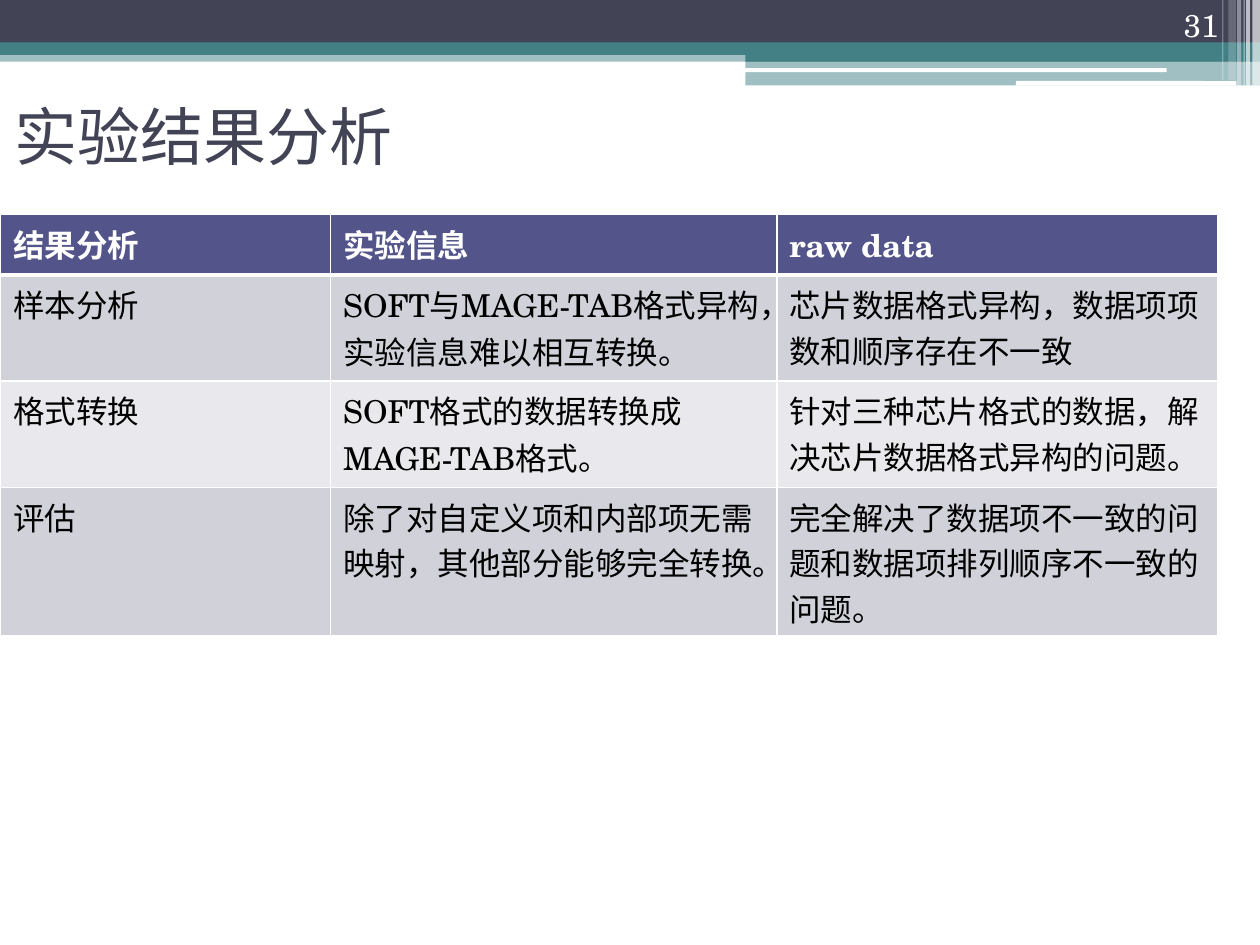
from lxml import etree
from pptx import Presentation
from pptx.dml.color import RGBColor
from pptx.enum.shapes import MSO_SHAPE
from pptx.enum.text import MSO_ANCHOR, PP_ALIGN
from pptx.oxml.ns import qn
from pptx.util import Pt

RECT, ROUNDED = MSO_SHAPE.RECTANGLE, MSO_SHAPE.ROUNDED_RECTANGLE
MIDDLE, BOTTOM = MSO_ANCHOR.MIDDLE, MSO_ANCHOR.BOTTOM
LEFT, RIGHT = PP_ALIGN.LEFT, PP_ALIGN.RIGHT

SLATE = RGBColor(0x42, 0x44, 0x56)
TEAL = RGBColor(0x43, 0x80, 0x86)
INDIGO = RGBColor(0x53, 0x54, 0x8A)
BAND_DARK = RGBColor(0xD1, 0xD1, 0xDA)
BAND_LIGHT = RGBColor(0xE9, 0xE9, 0xED)
WHITE = RGBColor(0xFF, 0xFF, 0xFF)
BLACK = RGBColor(0, 0, 0)

TITLE_FONT, BODY_FONT = "Karla", "TeX Gyre Schola"


class SlideBuilder:
    """Holds the style and the current slide."""

    def __init__(self, page, body_size=18):
        """Keep the page and the body text size."""
        self.page = page
        self.body_size = body_size

    def bar(self, left, top, width, height, color, opacity=100, kind=RECT):
        """Add a borderless bar, see-through when opacity is below 100."""
        box = self.page.shapes.add_shape(
            kind, Pt(left), Pt(top), Pt(width), Pt(height))
        box.shadow.inherit = False
        box.line.fill.background()
        box.fill.solid()
        box.fill.fore_color.rgb = color
        if opacity < 100:
            tint = box.fill._xPr.find(f".//{qn('a:srgbClr')}")
            etree.SubElement(tint, qn("a:alpha"), val=str(opacity * 1000))

    def format_spans(self, frame, font, size, color, bold=False):
        """Style every run of a text frame."""
        for para in frame.paragraphs:
            for span in para.runs:
                span.font.name = font
                span.font.size = Pt(size)
                span.font.bold = bold
                span.font.color.rgb = color

    def text(self, left, top, width, height, words, font, size, color,
             anchor=MIDDLE, align=LEFT):
        """Add a wrapped text box."""
        box = self.page.shapes.add_textbox(
            Pt(left), Pt(top), Pt(width), Pt(height))
        frame = box.text_frame
        frame.word_wrap = True
        frame.vertical_anchor = anchor
        frame.text = words
        frame.paragraphs[0].alignment = align
        self.format_spans(frame, font, size, color)

    def border(self, cell, side, width):
        """Draw one white cell edge."""
        edge = etree.SubElement(
            cell._tc.get_or_add_tcPr(), qn(f"a:ln{side}"), w=str(Pt(width)))
        fill = etree.SubElement(edge, qn("a:solidFill"))
        etree.SubElement(fill, qn("a:srgbClr"), val=str(WHITE))

    def table(self, left, top, widths, heights, rows):
        """Add a table with a dark header and banded rows."""
        grid = self.page.shapes.add_table(
            len(rows), len(widths), Pt(left), Pt(top),
            Pt(sum(widths)), Pt(sum(heights))).table
        for column, width in zip(grid.columns, widths):
            column.width = Pt(width)
        for index, (row, height, entries) in enumerate(
                zip(grid.rows, heights, rows)):
            row.height = Pt(height)
            header = index == 0
            band = BAND_DARK if index % 2 else BAND_LIGHT
            for cell, words in zip(row.cells, entries):
                for side in "LRTB":
                    thick = (header and side == "B") or (index == 1 and side == "T")
                    self.border(cell, side, 3 if thick else 1)
                cell.fill.solid()
                cell.fill.fore_color.rgb = INDIGO if header else band
                cell.text_frame.text = words
                self.format_spans(cell.text_frame, BODY_FONT, self.body_size,
                                  WHITE if header else BLACK, header)


BANNER_BARS = [
    (0, 28.8, 720, 6.5, TEAL, 50),
    (0, 0, 720, 24.5, SLATE),
    (0, 24.2, 720, 7.2, TEAL),
    (426, 28.1, 294, 7.2, TEAL),
    (426, 34.6, 294, 14.2, TEAL, 50),
    (425.5, 39, 241.2, 2.2, WHITE, 100, ROUNDED),
    (580.5, 46.3, 126, 2.7, WHITE, 100, ROUNDED),
]
# left, width, height, opacity
WHITE_STRIPES = [
    (715.7, 4.3, 49, 65),
    (712.1, 2.2, 49, 65),
    (710.6, 0.72, 49, 60),
    (707, 2.2, 49, 40),
    (702, 4.3, 46, 20),
    (698.4, 0.72, 46, 30),
]
RESULT_ROWS = [
    ("结果分析", "实验信息", "raw data"),
    ("样本分析", "SOFT与MAGE-TAB格式异构，实验信息难以相互转换。",
     "芯片数据格式异构，数据项项数和顺序存在不一致"),
    ("格式转换", "SOFT格式的数据转换成MAGE-TAB格式。",
     "针对三种芯片格式的数据，解决芯片数据格式异构的问题。"),
    ("评估", "除了对自定义项和内部项无需映射，其他部分能够完全转换。",
     "完全解决了数据项不一致的问题和数据项排列顺序不一致的问题。"),
]


def main():
    """Build the slide and save the deck."""
    deck = Presentation()
    deck.slide_width, deck.slide_height = Pt(720), Pt(540)
    builder = SlideBuilder(deck.slides.add_slide(deck.slide_layouts[6]))
    for bar in BANNER_BARS:
        builder.bar(*bar)
    for left, width, height, opacity in WHITE_STRIPES:
        builder.bar(left, 0, width, height, WHITE, opacity)
    builder.text(1.4, 49, 648, 57, "实验结果分析", TITLE_FONT, 36, SLATE)
    builder.text(643.7, 0, 59.8, 28.8, "31", BODY_FONT, 18, WHITE, BOTTOM, RIGHT)
    builder.table(0.3, 122.6, (188.6, 255, 252.2), (34.5, 60.5, 61, 85),
                  RESULT_ROWS)
    deck.save("out.pptx")


main()
